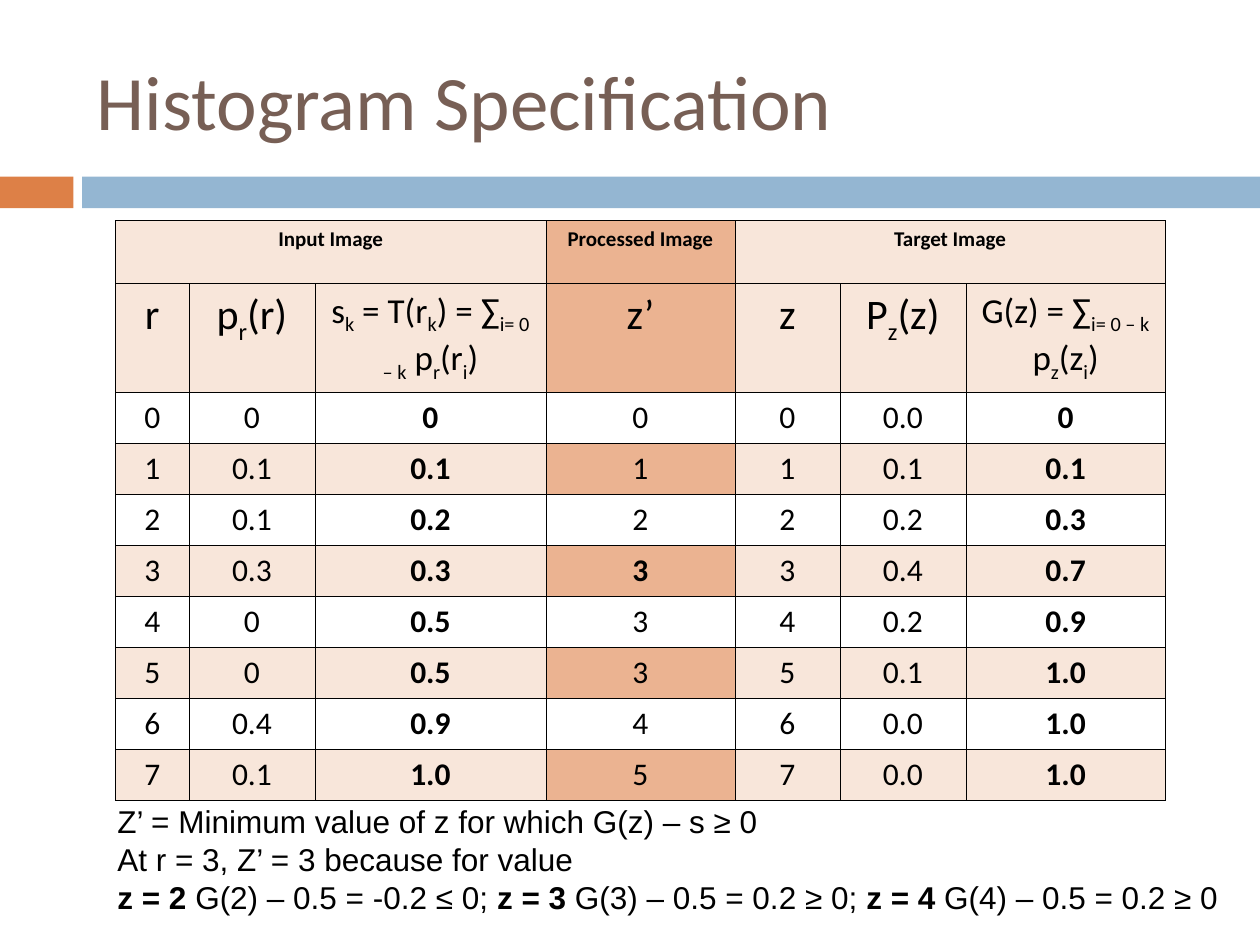
from dataclasses import dataclass

from lxml import etree
from pptx import Presentation
from pptx.dml.color import RGBColor
from pptx.enum import shapes, text
from pptx.oxml import ns
from pptx.util import Pt


@dataclass(frozen=True)
class Theme:
    ink: str = "000000"
    head: str = "775F55"
    orange: str = "DD8047"
    blue: str = "94B6D2"
    pale: str = "F8E6DA"
    deep: str = "EBB391"
    font: str = "Calibri"
    plain: str = "Arial"
    title: float = 44
    group: float = 12
    symbol: float = 24
    formula: float = 20
    body: float = 18
    rule: float = 0.45


T = Theme()
LEFT, MID = text.PP_ALIGN.LEFT, text.PP_ALIGN.CENTER
COLS = [42, 72, 132, 108, 60, 72, 114]
ROWS = [36, 62] + [29.2] * 8
GROUPS = [(0, 2, "Input Image"), (3, 3, "Processed Image"), (4, 6, "Target Image")]
HEADS = ["r", "p~r~(r)", "s~k~ = T(r~k~) = ∑~i= 0 – k~ p~r~(r~i~)", "z’",
         "z", "P~z~(z)", "G(z) = ∑~i= 0 – k~ p~z~(z~i~)"]
DATA = [
    ("0", "0", "*0*", "0", "0", "0.0", "*0*"),
    ("1", "0.1", "*0.1*", "1", "1", "0.1", "*0.1*"),
    ("2", "0.1", "*0.2*", "2", "2", "0.2", "*0.3*"),
    ("3", "0.3", "*0.3*", "*3*", "3", "0.4", "*0.7*"),
    ("4", "0", "*0.5*", "3", "4", "0.2", "*0.9*"),
    ("5", "0", "*0.5*", "3", "5", "0.1", "*1.0*"),
    ("6", "0.4", "*0.9*", "4", "6", "0.0", "*1.0*"),
    ("7", "0.1", "*1.0*", "5", "7", "0.0", "*1.0*"),
]
NOTES = [
    "Z’ = Minimum value of z for which G(z) – s ≥ 0",
    "At r = 3, Z’ = 3 because for value",
    "*z = 2* G(2) – 0.5 = -0.2 ≤ 0; *z = 3* G(3) – 0.5 = 0.2 ≥ 0; "
    "*z = 4* G(4) – 0.5 = 0.2 ≥ 0",
]


def write(frame, *lines, size=T.body, font=T.font, color=T.ink, align=LEFT):
    """Fill a text frame; *stars* mark bold and ~tildes~ mark subscript."""
    for n, line in enumerate(lines):
        para = frame.add_paragraph() if n else frame.paragraphs[0]
        para.alignment = align
        for i, part in enumerate(line.split("*")):
            for j, bit in enumerate(part.split("~")):
                if not bit:
                    continue
                run = para.add_run()
                run.text = bit
                run.font.size, run.font.name = Pt(size), font
                run.font.bold = i % 2 == 1
                run.font.color.rgb = RGBColor.from_string(color)
                if j % 2:
                    run.font._element.set("baseline", "-25000")


def paint(fill, color):
    if color:
        fill.solid()
        fill.fore_color.rgb = RGBColor.from_string(color)
    else:
        fill.background()


def edge(cell):
    """Draw a thin line on all four sides of a cell."""
    props = cell._tc.get_or_add_tcPr()
    for n, side in enumerate(("lnL", "lnR", "lnT", "lnB")):
        line = etree.Element(ns.qn("a:" + side), w=str(Pt(T.rule)))
        fill = etree.SubElement(line, ns.qn("a:solidFill"))
        etree.SubElement(fill, ns.qn("a:srgbClr"), val=T.ink)
        props.insert(n, line)


def add_title(slide, x, y, w, h):
    title = slide.shapes.title
    title.left, title.top, title.width, title.height = map(Pt, (x, y, w, h))
    title.text_frame.vertical_anchor = text.MSO_ANCHOR.MIDDLE
    write(title.text_frame, "Histogram Specification", size=T.title, color=T.head)


def add_band(slide, x, y, w, h, tab=42, gap=5):
    for left, wide, color in ((x, tab, T.orange),
                              (x + tab + gap, w - tab - gap, T.blue)):
        bar = slide.shapes.add_shape(shapes.MSO_SHAPE.RECTANGLE,
                                     Pt(left), Pt(y), Pt(wide), Pt(h))
        bar.shadow.inherit = False
        paint(bar.fill, color)
        bar.line.fill.background()


def add_grid(slide, x, y):
    grid = slide.shapes.add_table(len(ROWS), len(COLS), Pt(x), Pt(y),
                                  Pt(sum(COLS)), Pt(sum(ROWS))).table
    for col, wide in zip(grid.columns, COLS):
        col.width = Pt(wide)
    for row, high in zip(grid.rows, ROWS):
        row.height = Pt(high)

    for r in range(len(ROWS)):
        for c in range(len(COLS)):
            cell = grid.cell(r, c)
            shade = T.deep if c == 3 else T.pale
            paint(cell.fill, shade if r < 2 or r % 2 else None)
            edge(cell)

    for first, last, name in GROUPS:
        cell = grid.cell(0, first)
        if last > first:
            cell.merge(grid.cell(0, last))
        write(cell.text_frame, f"*{name}*", size=T.group, align=MID)
    for c, head in enumerate(HEADS):
        size = T.formula if "∑" in head else T.symbol
        write(grid.cell(1, c).text_frame, head, size=size, align=MID)
    for r, row in enumerate(DATA, 2):
        for c, value in enumerate(row):
            write(grid.cell(r, c).text_frame, value, align=MID)


def add_notes(slide, x, y, w, h):
    frame = slide.shapes.add_textbox(Pt(x), Pt(y), Pt(w), Pt(h)).text_frame
    frame.word_wrap = True
    write(frame, *NOTES, font=T.plain)


def main():
    deck = Presentation()
    deck.slide_width, deck.slide_height = Pt(720), Pt(540)
    slide = deck.slides.add_slide(deck.slide_layouts[5])
    add_band(slide, 0, 101, 720, 18)
    add_title(slide, 48, 18, 642, 78)
    add_grid(slide, 66, 126)
    add_notes(slide, 60, 455, 660, 72)
    deck.save("out.pptx")


if __name__ == "__main__":
    main()
